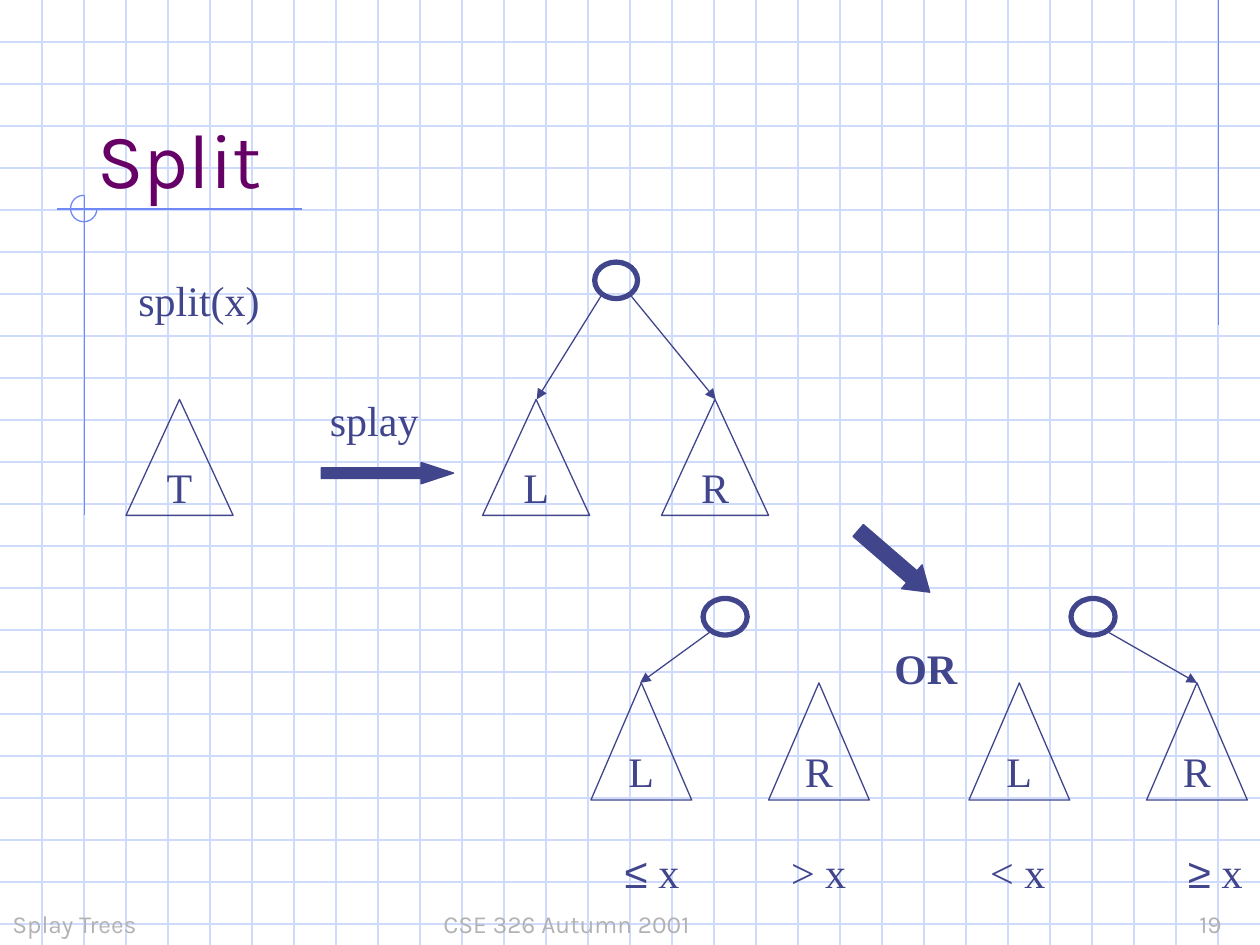
from math import ceil

from lxml.etree import SubElement as Sub
from pptx import Presentation
from pptx.dml.color import RGBColor as Rgb
from pptx.enum.shapes import MSO_CONNECTOR as Link, MSO_SHAPE as Kind
from pptx.enum.text import MSO_ANCHOR as Anchor, MSO_AUTO_SIZE as Auto, PP_ALIGN as Align
from pptx.oxml.ns import qn
from pptx.util import Inches, Pt

INK = {"grid": "CFDBFD", "rule": "6F89F7", "foot": "B2B2B2", "title": "660066", "main": "40458C"}
SERIF, SANS = "Times New Roman", "Karla"
WIDE, HIGH, STEP = 10, 7.5, 1 / 3

RULES = [(9.67, 0, 9.67, 2.58), (2.4, 1.66, 0.45, 1.66), (0.67, 1.55, 0.67, 4.09)]
FOOTS = [("Splay Trees", 0, 2.08), ("CSE 326 Autumn 2001\t19", 3.42, 6.58)]
TREES = [
    ("T", 1, 3.17, 0.85, 0.92),
    ("L", 3.83, 3.17, 0.85, 0.92),
    ("R", 5.25, 3.17, 0.85, 0.92),
    ("L", 4.69, 5.42, 0.8, 0.93),
    ("R", 6.1, 5.42, 0.8, 0.93),
    ("L", 7.69, 5.42, 0.8, 0.93),
    ("R", 9.1, 5.42, 0.8, 0.93),
]
NODES = [(4.72, 2.08, 0.34, 0.29), (5.58, 4.75, 0.35, 0.29), (8.5, 4.75, 0.35, 0.29)]
EDGES = [
    (4.77, 2.35, 4.26, 3.17),
    (5.01, 2.35, 5.68, 3.17),
    (5.63, 5.02, 5.08, 5.42),
    (8.8, 5.02, 9.5, 5.42),
]
ARROWS = [((2.55, 3.67, 1.05, 0.17), 1.52, 0), ((6.72, 4.33, 0.75, 0.25), 0.75, 40.8)]
LABELS = [
    ("split(x)", 1, 2.13, 1.16, Align.LEFT, False),
    ("splay", 2.5, 3.08, 0.94, Align.CENTER, False),
    ("OR", 7, 5.05, 0.7, Align.LEFT, True),
    ("> x", 6.18, 6.67, 0.64, Align.LEFT, False),
    ("< x", 7.76, 6.67, 0.64, Align.LEFT, False),
]
BOUNDS = [("≤", 4.36), ("≥", 8.83)]


def paint(run, size, font, ink, bold=False):
    run.font.size, run.font.name, run.font.bold = Pt(size), font, bold
    run.font.color.rgb = Rgb.from_string(INK[ink])


def line(slide, ends, ink, head=False):
    link = slide.shapes.add_connector(Link.STRAIGHT, *map(Inches, ends))
    link.line.color.rgb = Rgb.from_string(INK[ink])
    link.line.width = Pt(0.75)
    if head:
        Sub(link.line._get_or_add_ln(), qn("a:tailEnd"), type="triangle")
    Sub(link._element.spPr, qn("a:effectLst"))


def shape(slide, kind, box, ink="main", width=0.75, solid=False):
    form = slide.shapes.add_shape(kind, *map(Inches, box))
    form.shadow.inherit = False
    if solid:
        form.fill.solid()
        form.fill.fore_color.rgb = Rgb.from_string(INK[ink])
    else:
        form.fill.background()
    form.line.color.rgb = Rgb.from_string(INK[ink])
    form.line.width = Pt(width)
    return form


def label(slide, text, x, y, width, size=24, font=SERIF, ink="main", bold=False):
    frame = slide.shapes.add_textbox(*map(Inches, (x, y, width, 0.5))).text_frame
    frame.word_wrap = False
    frame.auto_size = Auto.SHAPE_TO_FIT_TEXT
    frame.text = text
    paint(frame.paragraphs[0].runs[0], size, font, ink, bold)
    return frame


def backdrop(slide):
    for i in range(1, ceil(HIGH / STEP)):
        line(slide, (0, i * STEP, WIDE, i * STEP), "grid")
    for i in range(1, ceil(WIDE / STEP)):
        line(slide, (i * STEP, 0, i * STEP, HIGH), "grid")
    for ends in RULES:
        line(slide, ends, "rule")
    arc = shape(slide, Kind.ARC, (0.56, 1.55, 0.21, 0.21), "rule")
    arc.adjustments[0], arc.adjustments[1] = 0, 162


def texts(slide):
    for text, x, width in FOOTS:
        frame = label(slide, text, x, 7, width, 14, SANS, "foot")
        frame.word_wrap = True
        frame.auto_size = Auto.NONE
        frame.vertical_anchor = Anchor.BOTTOM
        props = frame.paragraphs[0]._p.get_or_add_pPr()
        Sub(Sub(props, qn("a:tabLst")), qn("a:tab"), pos=str(Inches(6)), algn="l")
    for text, x, y, width, align, bold in LABELS:
        label(slide, text, x, y, width, bold=bold).paragraphs[0].alignment = align
    for sign, x in BOUNDS:
        para = label(slide, sign, x, 6.67, 1.21, font="Arial").paragraphs[0]
        para._p.get_or_add_pPr().set("marL", str(Inches(0.5)))
        run = para.add_run()
        run.text = " x"
        paint(run, 24, SERIF, "main")


def diagram(slide):
    for name, *box in TREES:
        frame = shape(slide, Kind.ISOSCELES_TRIANGLE, box).text_frame
        frame.word_wrap = False
        frame.text = name
        frame.vertical_anchor = Anchor.MIDDLE
        frame.paragraphs[0].alignment = Align.CENTER
        paint(frame.paragraphs[0].runs[0], 24, SERIF, "main")
    for box in NODES:
        shape(slide, Kind.OVAL, box, width=3)
    for ends in EDGES:
        line(slide, ends, "main", head=True)
    for box, tip, turn in ARROWS:
        arrow = shape(slide, Kind.RIGHT_ARROW, box, solid=True)
        arrow.adjustments[1] = tip
        arrow.rotation = turn


def heading(slide):
    title = slide.shapes.title
    title.left, title.top, title.width, title.height = map(Inches, (0.67, 0.42, 8.5, 1.25))
    frame = title.text_frame
    frame.text = "Split"
    frame.auto_size = Auto.NONE
    frame.vertical_anchor = Anchor.BOTTOM
    frame.paragraphs[0].alignment = Align.LEFT
    paint(frame.paragraphs[0].runs[0], 44, SANS, "title")
    tree = slide.shapes._spTree
    tree.remove(title._element)
    tree.append(title._element)


def main():
    """Build the slide on splitting a splay tree."""
    deck = Presentation()
    deck.slide_width, deck.slide_height = Inches(WIDE), Inches(HIGH)
    slide = deck.slides.add_slide(deck.slide_layouts[5])
    backdrop(slide)
    heading(slide)
    texts(slide)
    diagram(slide)
    deck.save("out.pptx")


if __name__ == "__main__":
    main()
